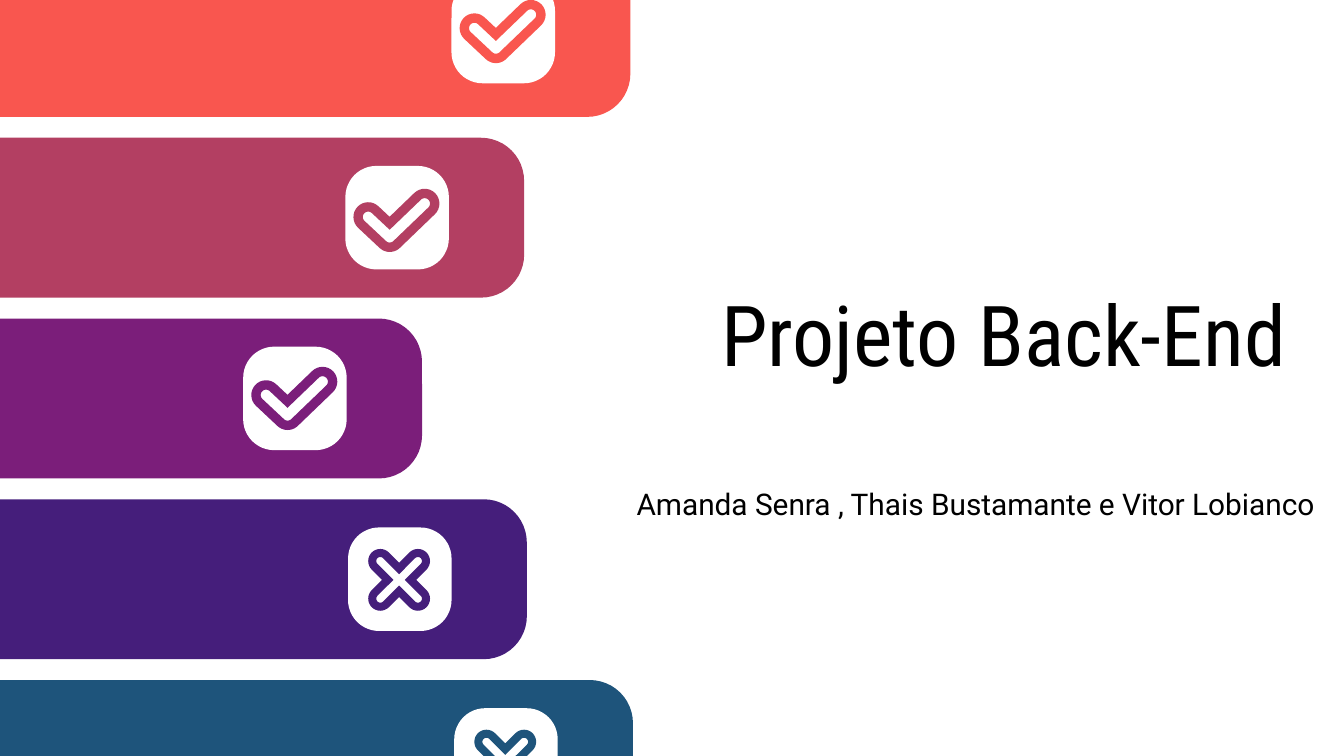
from dataclasses import dataclass
from math import cos, pi, sin, atan2, tau

from pptx import Presentation
from pptx.dml.color import RGBColor
from pptx.enum.shapes import MSO_SHAPE
from pptx.enum.text import MSO_ANCHOR, MSO_AUTO_SIZE, PP_ALIGN
from pptx.shapes.base import BaseShape
from pptx.slide import Slide
from pptx.util import Inches, Pt

ROUNDED = MSO_SHAPE.ROUNDED_RECTANGLE
MIDDLE, BOTTOM = MSO_ANCHOR.MIDDLE, MSO_ANCHOR.BOTTOM
RIGHT, CENTER = PP_ALIGN.RIGHT, PP_ALIGN.CENTER
NO_AUTOFIT = MSO_AUTO_SIZE.NONE
TITLE_ONLY = 5

Point = tuple[float, float]


@dataclass(frozen=True)
class Theme:
    coral: str = "F9564F"
    rose: str = "B33F62"
    purple: str = "7B1E7A"
    indigo: str = "451E7B"
    blue: str = "1E547B"
    badge: str = "FFFFFF"
    text: str = "000000"
    title_font: str = "Roboto Condensed"
    body_font: str = "Roboto"
    title_size: float = 45
    body_size: float = 16


@dataclass(frozen=True)
class Icon:
    """Arms running from a joint to their tips, drawn as a hollow rounded outline."""
    joint: Point  # from the badge corner
    tips: tuple[Point, ...]  # from the joint, clockwise
    outer_radius: float
    inner_radius: float


@dataclass(frozen=True)
class Step:
    right: float
    color: str
    icon: Icon
    badge_drop: float = 0.21
    icon_drop: float = 0


THEME = Theme()
CHECK = Icon((0.33, 0.51), ((-0.16, -0.15), (0.26, -0.25)), 0.11, 0.04)
CROSS = Icon((0.38, 0.39), ((-0.14, -0.14), (0.14, -0.14),
                            (0.14, 0.14), (-0.14, 0.14)), 0.09, 0.03)
STEPS = (
    Step(4.69, THEME.coral, CHECK, badge_drop=0.17),
    Step(3.9, THEME.rose, CHECK, icon_drop=0.02),
    Step(3.14, THEME.purple, CHECK),
    Step(3.92, THEME.indigo, CROSS),
    Step(4.71, THEME.blue, CROSS),
)
FIRST_TOP, LAST_TOP = -0.32, 5.06
STEP_PITCH = (LAST_TOP - FIRST_TOP) / (len(STEPS) - 1)
BAR_WIDTH, BAR_HEIGHT, BAR_CORNER = 5.75, 1.19, 0.27
BADGE_SIZE, BADGE_CORNER, BADGE_INSET = 0.77, 0.3, 1.33


def paint(shape: BaseShape, color: str) -> None:
    shape.shadow.inherit = False
    shape.fill.solid()
    shape.fill.fore_color.rgb = RGBColor.from_string(color)
    shape.line.fill.background()


def add_rounded(slide: Slide, left: float, top: float, width: float,
                height: float, corner: float, color: str) -> None:
    shape = slide.shapes.add_shape(
        ROUNDED, Inches(left), Inches(top), Inches(width), Inches(height))
    shape.adjustments[0] = corner
    paint(shape, color)


def arc(center: Point, radius: float, start: float, end: float,
        pieces: int = 16) -> list[Point]:
    angles = (start + (end - start) * i / pieces for i in range(pieces + 1))
    return [(center[0] + radius * cos(a), center[1] + radius * sin(a)) for a in angles]


def outline(icon: Icon, joint: Point, radius: float) -> list[Point]:
    """Trace round caps at the tips, with a mitre or an arc between neighbouring arms."""
    points: list[Point] = []
    angles = [atan2(y, x) for x, y in icon.tips]
    for index, (tip, angle) in enumerate(zip(icon.tips, angles)):
        center = (joint[0] + tip[0], joint[1] + tip[1])
        points += arc(center, radius, angle - pi / 2, angle + pi / 2)
        gap = (angles[(index + 1) % len(angles)] - angle) % tau
        if gap < pi:
            reach, middle = radius / sin(gap / 2), angle + gap / 2
            points.append((joint[0] + reach * cos(middle), joint[1] + reach * sin(middle)))
        else:
            points += arc(joint, radius, angle + pi / 2, angle + gap - pi / 2)
    return points


def add_icon(slide: Slide, icon: Icon, joint: Point, color: str) -> None:
    contours = [[(Inches(x), Inches(y)) for x, y in outline(icon, joint, radius)]
                for radius in (icon.outer_radius, icon.inner_radius)]
    outer, inner = contours
    builder = slide.shapes.build_freeform(*outer[0])
    builder.add_line_segments(outer[1:], close=True)
    builder.move_to(*inner[0])
    builder.add_line_segments(inner[1:], close=True)
    paint(builder.convert_to_shape(), color)


def add_step(slide: Slide, step: Step, top: float) -> None:
    add_rounded(slide, step.right - BAR_WIDTH, top, BAR_WIDTH, BAR_HEIGHT,
                BAR_CORNER, step.color)
    badge_left, badge_top = step.right - BADGE_INSET, top + step.badge_drop
    add_rounded(slide, badge_left, badge_top, BADGE_SIZE, BADGE_SIZE,
                BADGE_CORNER, THEME.badge)
    joint = (badge_left + step.icon.joint[0],
             badge_top + step.icon.joint[1] + step.icon_drop)
    add_icon(slide, step.icon, joint, step.color)


def set_text(shape: BaseShape, text: str, font_name: str, size: float,
             alignment: PP_ALIGN, anchor: MSO_ANCHOR) -> None:
    text_frame = shape.text_frame
    text_frame.text = text
    text_frame.word_wrap = True
    text_frame.auto_size = NO_AUTOFIT
    text_frame.vertical_anchor = anchor
    text_frame.margin_left = text_frame.margin_right = Inches(0.1)
    text_frame.margin_top = text_frame.margin_bottom = Inches(0.1)
    paragraph = text_frame.paragraphs[0]
    paragraph.alignment = alignment
    font = paragraph.runs[0].font
    font.name, font.size = font_name, Pt(size)
    font.color.rgb = RGBColor.from_string(THEME.text)


def main() -> None:
    presentation = Presentation()
    presentation.slide_width = Inches(10)
    presentation.slide_height = presentation.slide_width * 9 // 16
    slide = presentation.slides.add_slide(presentation.slide_layouts[TITLE_ONLY])

    title = slide.shapes.title
    title.left, title.top = Inches(4.39), Inches(1.29)
    title.width, title.height = Inches(5.28), Inches(2.37)
    set_text(title, "Projeto Back-End", THEME.title_font, THEME.title_size, RIGHT, MIDDLE)

    authors = slide.shapes.add_textbox(
        Inches(4.52), Inches(3.45), Inches(5.48), Inches(0.53))
    set_text(authors, "Amanda Senra , Thais Bustamante e Vitor Lobianco",
             THEME.body_font, THEME.body_size, CENTER, BOTTOM)

    for index, step in enumerate(STEPS):
        add_step(slide, step, FIRST_TOP + index * STEP_PITCH)

    presentation.save("out.pptx")


if __name__ == "__main__":
    main()
